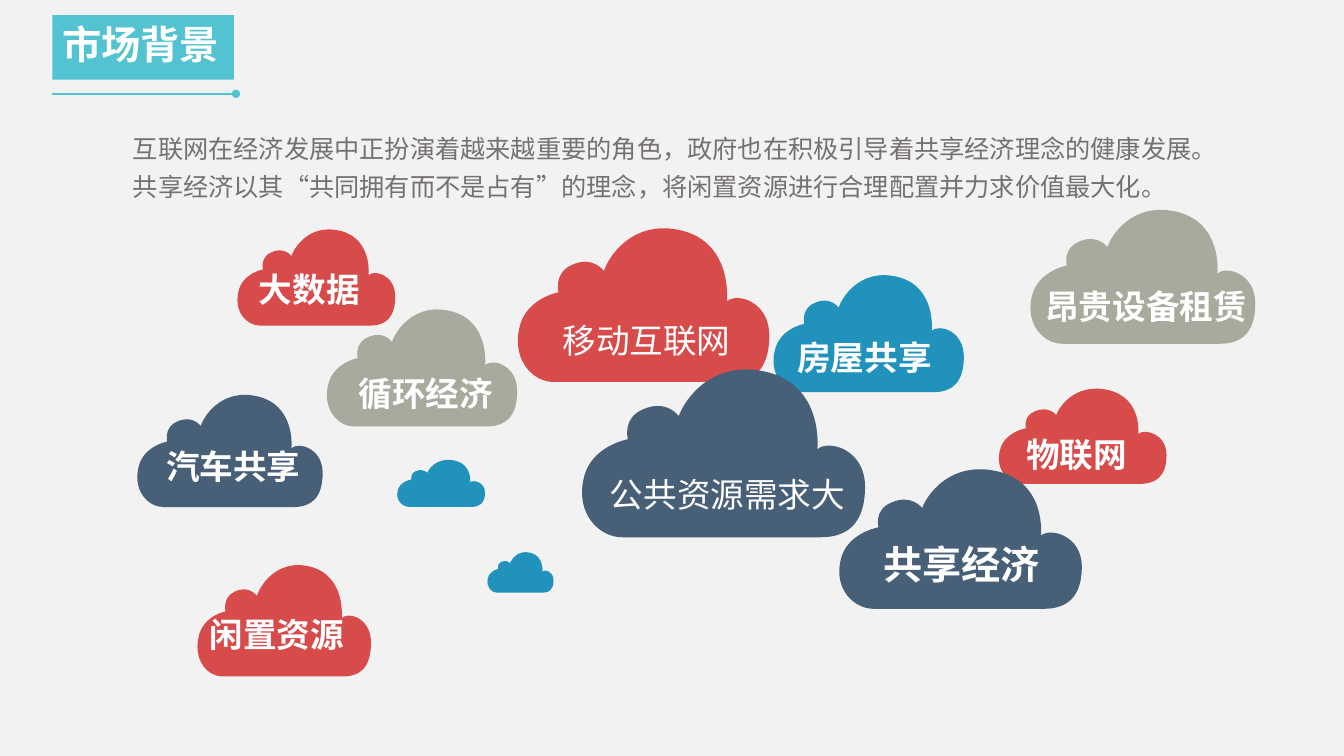
"""Build the market background slide: a title, an introduction and labelled clouds."""
from dataclasses import dataclass
from typing import Optional

from lxml import etree
from pptx import Presentation
from pptx.dml.color import RGBColor
from pptx.enum.lang import MSO_LANGUAGE_ID
from pptx.enum.shapes import MSO_CONNECTOR, MSO_SHAPE
from pptx.enum.text import MSO_ANCHOR, MSO_AUTO_SIZE, PP_ALIGN
from pptx.oxml.ns import qn
from pptx.util import Inches, Pt

STRAIGHT = MSO_CONNECTOR.STRAIGHT
RECTANGLE = MSO_SHAPE.RECTANGLE
LEFT, CENTER = PP_ALIGN.LEFT, PP_ALIGN.CENTER
TOP = MSO_ANCHOR.TOP
FIT_SHAPE = MSO_AUTO_SIZE.SHAPE_TO_FIT_TEXT
CHINESE = MSO_LANGUAGE_ID.SIMPLIFIED_CHINESE
TITLE_ONLY = 5


@dataclass(frozen=True)
class Theme:
    background: str = "F2F2F2"
    banner: str = "4CC1D0"
    rule: str = "54C3D1"
    white: str = "FFFFFF"
    body: str = "767171"
    red: str = "D74B4B"
    blue: str = "2192BC"
    navy: str = "475F77"
    grey: str = "A7AA9D"
    title_size: int = 28
    label_size: int = 24
    body_size: int = 18
    title_font: str = "Arial"
    label_font: str = "Calibri"
    chinese_font: str = "Noto Sans CJK SC"


THEME = Theme()


@dataclass(frozen=True)
class Box:
    left: float
    top: float
    width: float
    height: float

    def lengths(self) -> tuple:
        return tuple(Inches(value) for value in (self.left, self.top, self.width, self.height))


@dataclass(frozen=True)
class TextStyle:
    size: int
    color: str
    font: str
    bold: bool = False
    align: PP_ALIGN = LEFT
    spacing: float = 1.0


TITLE = TextStyle(THEME.title_size, THEME.white, THEME.title_font, True)
BODY = TextStyle(THEME.body_size, THEME.body, THEME.chinese_font, spacing=1.25)
BOLD = TextStyle(THEME.label_size, THEME.white, THEME.label_font, True)
CENTERED = TextStyle(THEME.label_size, THEME.white, THEME.label_font, True, CENTER)
LARGE = TextStyle(THEME.title_size, THEME.white, THEME.label_font, True)
LIGHT = TextStyle(THEME.label_size, THEME.white, THEME.chinese_font)


@dataclass(frozen=True)
class Label:
    text: str
    box: Box
    style: TextStyle = BOLD


@dataclass(frozen=True)
class Cloud:
    box: Box
    color: str
    label: Optional[Label] = None


CLOUD_WIDTH, CLOUD_HEIGHT = 255, 163
CLOUD_START = (41, 163)
CLOUD_CURVES = (
    ((68, 163), (193, 163), (216, 163)),
    ((239, 163), (255, 151), (255, 117)),
    ((255, 83), (223, 74), (213, 83)),
    ((213, 83), (219, 26), (169, 13)),
    ((118, 0), (94, 42), (91, 53)),
    ((91, 53), (80, 37), (59, 47)),
    ((41, 55), (46, 74), (46, 74)),
    ((46, 74), (13, 80), (7, 110)),
    ((0, 142), (21, 163), CLOUD_START),
)

CLOUDS = (
    Cloud(Box(5.08, 2.16, 2.55, 1.63), THEME.red,
          Label("移动互联网", Box(5.48, 3.12, 2.71, 0.5), LIGHT)),
    Cloud(Box(4.82, 5.45, 0.67, 0.43), THEME.blue),
    Cloud(Box(3.92, 4.53, 0.89, 0.5), THEME.blue),
    Cloud(Box(2.32, 2.21, 1.6, 1.02), THEME.red,
          Label("大数据", Box(2.47, 2.62, 1.31, 0.5))),
    Cloud(Box(1.32, 3.84, 1.88, 1.19), THEME.navy,
          Label("汽车共享", Box(1.55, 4.37, 2.13, 0.5))),
    Cloud(Box(3.2, 2.99, 1.93, 1.24), THEME.grey,
          Label("循环经济", Box(3.37, 3.65, 1.71, 0.5), CENTERED)),
    Cloud(Box(7.63, 2.65, 1.93, 1.24), THEME.blue,
          Label("房屋共享", Box(7.81, 3.29, 2.02, 0.5))),
    Cloud(Box(10.17, 1.99, 2.28, 1.42), THEME.grey,
          Label("昂贵设备租赁", Box(10.27, 2.79, 2.23, 0.5))),
    Cloud(Box(9.87, 3.79, 1.7, 1.01), THEME.red,
          Label("物联网", Box(10.08, 4.26, 2.13, 0.5))),
    Cloud(Box(5.71, 3.55, 2.87, 1.78), THEME.navy,
          Label("公共资源需求大", Box(5.95, 4.65, 2.71, 0.5), LIGHT)),
    Cloud(Box(8.27, 4.56, 2.46, 1.48), THEME.navy,
          Label("共享经济", Box(8.66, 5.31, 2.74, 0.57), LARGE)),
    Cloud(Box(1.92, 5.53, 1.76, 1.18), THEME.red,
          Label("闲置资源", Box(1.98, 6.04, 2.13, 0.5))),
)

INTRODUCTION = Label(
    "互联网在经济发展中正扮演着越来越重要的角色，政府也在积极引导着共享经济理念的健康发展。\n"
    "共享经济以其“共同拥有而不是占有”的理念，将闲置资源进行合理配置并力求价值最大化。",
    Box(1.22, 1.2, 11.13, 0.82), BODY)
HEADING = Label("市场背景", Box(0.52, 0.15, 1.8, 0.57), TITLE)
BANNER = Box(0.52, 0.15, 1.8, 0.64)


def write_label(shape, label: Label) -> None:
    """Place a text shape and fill it with the styled label."""
    style = label.style
    shape.left, shape.top, shape.width, shape.height = label.box.lengths()
    frame = shape.text_frame
    frame.text = label.text
    frame.word_wrap = True
    frame.auto_size = FIT_SHAPE
    frame.vertical_anchor = TOP
    for paragraph in frame.paragraphs:
        paragraph.alignment = style.align
        paragraph.line_spacing = style.spacing
        for run in paragraph.runs:
            font = run.font
            font.size, font.bold, font.name = Pt(style.size), style.bold, style.font
            font.color.rgb = RGBColor.from_string(style.color)
            font.language_id = CHINESE
    for latin in list(shape.element.iter(qn("a:latin"))):
        latin.addnext(etree.Element(qn("a:ea"), typeface=THEME.chinese_font))


def fill_shape(shape, color: str) -> None:
    """Give a shape a plain fill without outline or shadow."""
    shape.shadow.inherit = False
    shape.fill.solid()
    shape.fill.fore_color.rgb = RGBColor.from_string(color)
    shape.line.fill.background()


def draw_cloud(shapes, cloud: Cloud) -> None:
    """Draw the curved cloud outline scaled to its box, with its label if any."""
    left, top, width, height = cloud.box.lengths()
    builder = shapes.build_freeform(
        *CLOUD_START, scale=(width / CLOUD_WIDTH, height / CLOUD_HEIGHT))
    builder.add_line_segments([point for curve in CLOUD_CURVES for point in curve])
    shape = builder.convert_to_shape(left, top)
    segments = list(shape.element.iter(qn("a:lnTo")))
    for first in range(0, len(segments), 3):
        curve = etree.Element(qn("a:cubicBezTo"))
        segments[first].addprevious(curve)
        for segment in segments[first:first + 3]:
            curve.append(segment[0])
            segment.getparent().remove(segment)
    fill_shape(shape, cloud.color)
    if cloud.label:
        write_label(shapes.add_textbox(*cloud.label.box.lengths()), cloud.label)


def draw_heading(slide) -> None:
    """Draw the banner and rule, then put the title in front of them."""
    banner = slide.shapes.add_shape(RECTANGLE, *BANNER.lengths())
    fill_shape(banner, THEME.banner)
    color = next(banner.element.spPr.iter(qn("a:srgbClr")))
    etree.SubElement(color, qn("a:alpha"), val="95000")
    rule = slide.shapes.add_connector(
        STRAIGHT, Inches(2.34), Inches(0.93), Inches(0.52), Inches(0.93))
    rule.line.color.rgb = RGBColor.from_string(THEME.rule)
    rule.line.width = Pt(1.25)
    etree.SubElement(rule.element.spPr.find(qn("a:ln")), qn("a:headEnd"), type="oval")
    etree.SubElement(rule.element.spPr, qn("a:effectLst"))
    title = slide.shapes.title
    write_label(title, HEADING)
    title.element.getparent().append(title.element)


def main() -> None:
    """Create the presentation and save it."""
    presentation = Presentation()
    presentation.slide_width, presentation.slide_height = Inches(13.33), Inches(7.5)
    slide = presentation.slides.add_slide(presentation.slide_layouts[TITLE_ONLY])
    slide.background.fill.solid()
    slide.background.fill.fore_color.rgb = RGBColor.from_string(THEME.background)
    write_label(slide.shapes.add_textbox(*INTRODUCTION.box.lengths()), INTRODUCTION)
    for cloud in CLOUDS:
        draw_cloud(slide.shapes.add_group_shape().shapes if cloud.label else slide.shapes, cloud)
    draw_heading(slide)
    presentation.save("out.pptx")


if __name__ == "__main__":
    main()
